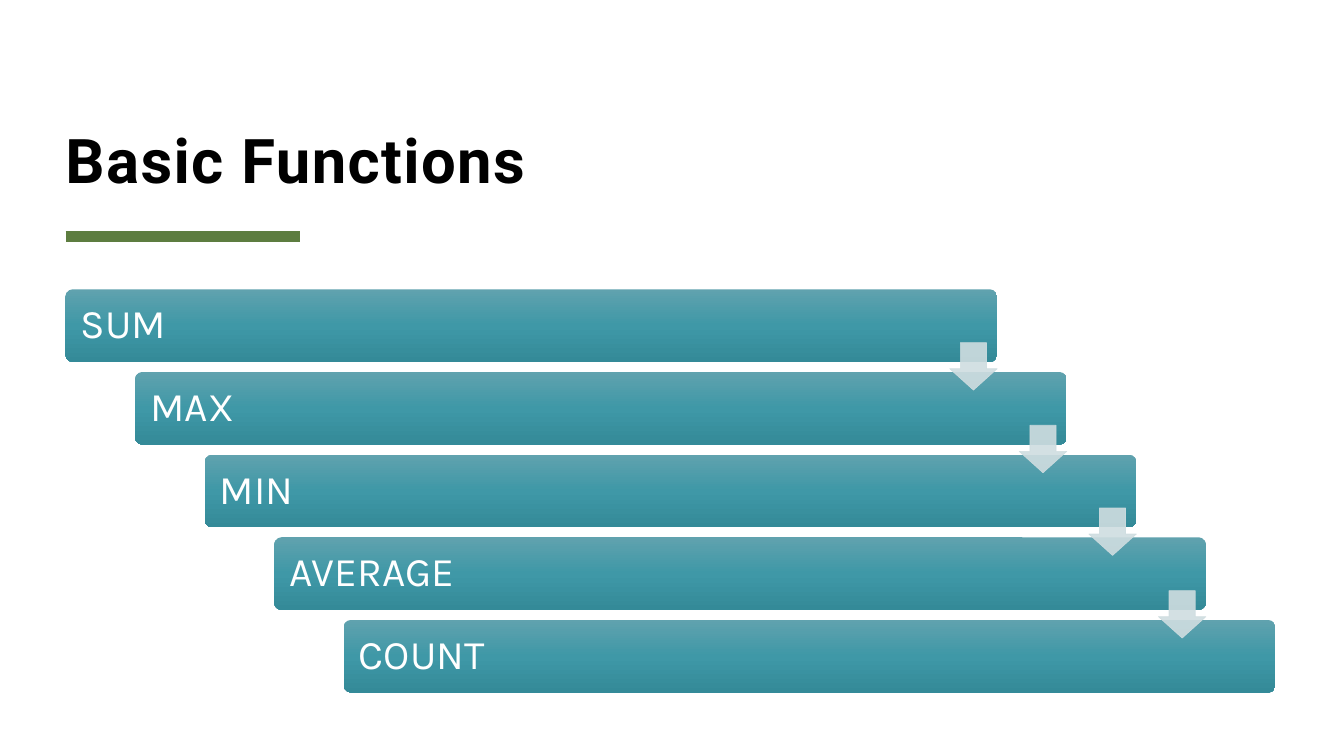
from copy import deepcopy

from lxml.etree import SubElement
from pptx import Presentation
from pptx.dml.color import RGBColor
from pptx.enum.shapes import MSO_CONNECTOR, MSO_SHAPE
from pptx.enum.text import MSO_ANCHOR, PP_ALIGN
from pptx.oxml.ns import qn
from pptx.util import Inches, Pt

TITLE = "Basic Functions"
FUNCTIONS = ["SUM", "MAX", "MIN", "AVERAGE", "COUNT"]
COLORS = {"title": "000000", "rule": "5D7D40", "label": "FFFFFF", "arrow": "CFDDE0"}
BAR_GRADIENT = [(0, "60A2AE"), (0.5, "3F98A7"), (1, "348A98")]

LEFT, TOP = 0.65, 2.87
STEP_X, STEP_Y = 0.69, 0.82
BAR_W, BAR_H = 9.24, 0.72
ARROW_SIZE, ARROW_DROP = 0.47, 0.53


def color(name):
    return RGBColor.from_string(COLORS[name])


def write(sp, text, size, font, color_name, spacing, anchor, insets):
    tf = sp.text_frame
    tf.word_wrap = True
    tf.vertical_anchor = anchor
    tf.margin_left, tf.margin_top, tf.margin_right, tf.margin_bottom = map(Inches, insets)
    tf.text = text
    p = tf.paragraphs[0]
    p.alignment = PP_ALIGN.LEFT
    p.line_spacing = spacing
    r = p.runs[0]
    r.font.size = Pt(size)
    r.font.name = font
    r.font.color.rgb = color(color_name)
    return r


def fill_gradient(sp, stops):
    """Fill from top to bottom through three or more colour stops."""
    sp.fill.gradient()
    sp.fill.gradient_angle = 270
    gs_lst = sp._element.spPr.find(qn("a:gradFill")).find(qn("a:gsLst"))
    for _ in stops[2:]:
        gs_lst.insert(1, deepcopy(gs_lst[0]))
    for stop, (position, value) in zip(sp.fill.gradient_stops, stops):
        stop.position = position
        stop.color.rgb = RGBColor.from_string(value)


def add_bar(slide, x, y, label):
    sp = slide.shapes.add_shape(MSO_SHAPE.ROUNDED_RECTANGLE, Inches(x), Inches(y),
                                Inches(BAR_W), Inches(BAR_H))
    sp.adjustments[0] = 0.1
    sp.shadow.inherit = False
    sp.line.fill.background()
    fill_gradient(sp, BAR_GRADIENT)
    write(sp, label, 29, "Karla", "label", 0.9, MSO_ANCHOR.MIDDLE, (0.13, 0.1, 0.1, 0.1))


def add_arrow(slide, x, y):
    sp = slide.shapes.add_shape(MSO_SHAPE.DOWN_ARROW, Inches(x), Inches(y),
                                Inches(ARROW_SIZE), Inches(ARROW_SIZE))
    sp.adjustments[0], sp.adjustments[1] = 0.55, 0.45
    sp.shadow.inherit = False
    sp.fill.solid()
    sp.fill.fore_color.rgb = color("arrow")
    sp.line.color.rgb = color("arrow")
    sp.line.width = Pt(0.5)
    for clr in sp._element.spPr.iter(qn("a:srgbClr")):
        SubElement(clr, qn("a:alpha"), val="90000")


def main():
    prs = Presentation()
    prs.slide_width, prs.slide_height = Inches(13.33), Inches(7.5)
    slide = prs.slides.add_slide(prs.slide_layouts[6])

    rule = slide.shapes.add_connector(MSO_CONNECTOR.STRAIGHT, Inches(LEFT), Inches(2.35),
                                      Inches(2.98), Inches(2.35))
    rule.line.color.rgb = color("rule")
    rule.line.width = Pt(8)
    SubElement(rule._element.spPr, qn("a:effectLst"))

    title = slide.shapes.add_textbox(Inches(LEFT), Inches(0.22), Inches(12), Inches(1.72))
    r = write(title, TITLE, 44, "Roboto", "title", 0.8, MSO_ANCHOR.BOTTOM, (0, 0, 0, 0))
    r.font.bold = True
    r.font._element.set("spc", "100")

    corners = [(LEFT + i * STEP_X, TOP + i * STEP_Y) for i in range(len(FUNCTIONS))]
    for (x, y), label in zip(corners, FUNCTIONS):
        add_bar(slide, x, y, label)
    for x, y in corners[:-1]:
        add_arrow(slide, x + BAR_W - ARROW_SIZE, y + ARROW_DROP)

    prs.save("out.pptx")


if __name__ == "__main__":
    main()
